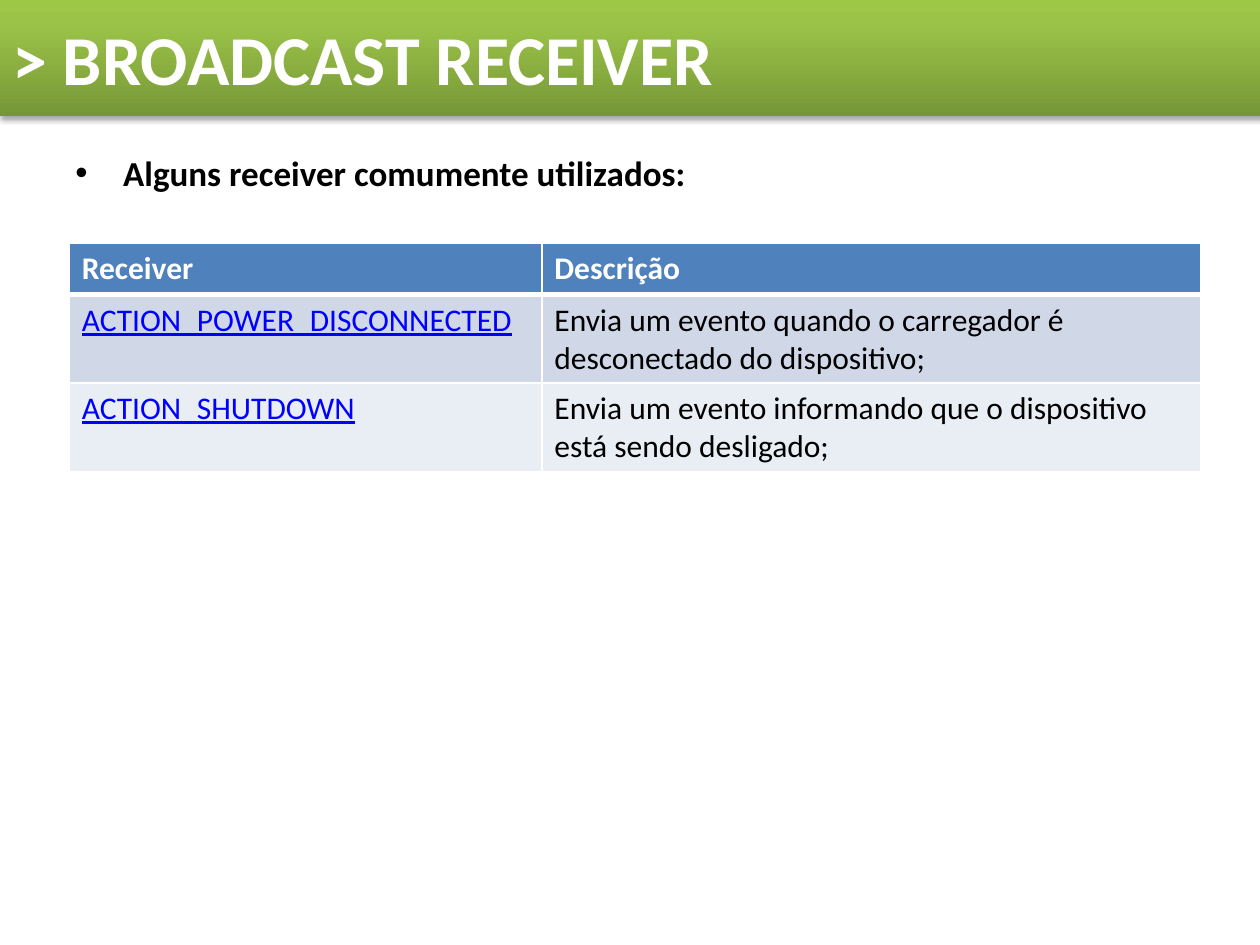
from lxml import etree
from pptx import Presentation
from pptx import util as u
from pptx.dml.color import RGBColor
from pptx.enum import shapes, text
from pptx.oxml import parse_xml
from pptx.oxml.ns import nsdecls, qn

# Content
TITLE = "> BROADCAST RECEIVER"
INTRO = "Alguns receiver comumente utilizados:"
RECEIVERS = [
    ("Receiver", "Descrição"),
    ("ACTION_POWER_DISCONNECTED",
     "Envia um evento quando o carregador é desconectado do dispositivo;"),
    ("ACTION_SHUTDOWN",
     "Envia um evento informando que o dispositivo está sendo desligado;"),
]
COLUMNS = (3.75, 5.23)
ROWS = (0.41, 0.7, 0.7)

# Look
FONT = "Calibri"
WHITE = RGBColor(0xFF, 0xFF, 0xFF)
BLACK = RGBColor(0, 0, 0)
LINK_BLUE = RGBColor(0, 0, 0xFF)
HEADER_BLUE = RGBColor(0x4F, 0x81, 0xBD)
BANDS = (RGBColor(0xE9, 0xED, 0xF4), RGBColor(0xD0, 0xD8, 0xE8))
GREENS = ((0, "779737"), (80, "9BC348"), (100, "9DC746"))


def write(frame, words, size, color, bold=False, underline=None):
    paragraph = frame.paragraphs[0]
    paragraph.text = words
    font = paragraph.font
    font.name, font.size, font.bold = FONT, u.Pt(size), bold
    font.color.rgb = color
    font.underline = underline
    return paragraph


def set_borders(cell, bottom):
    props = cell._tc.get_or_add_tcPr()
    widths = {"lnL": 1, "lnR": 1, "lnT": 1, "lnB": bottom}
    for place, (side, points) in enumerate(widths.items()):
        props.insert(place, parse_xml(
            f'<a:{side} {nsdecls("a")} w="{u.Pt(points)}"><a:solidFill>'
            f'<a:srgbClr val="{WHITE}"/></a:solidFill></a:{side}>'))


deck = Presentation()
deck.slide_width, deck.slide_height = u.Inches(10), u.Inches(7.5)
slide = deck.slides.add_slide(deck.slide_layouts[6])

# Introductory bullet
intro = slide.shapes.add_textbox(u.Inches(0.5), u.Inches(1.15), u.Inches(9), u.Inches(6.25))
intro.text_frame.word_wrap = True
bullet = write(intro.text_frame, INTRO, 20, BLACK, bold=True)
bullet.alignment = text.PP_ALIGN.JUSTIFY
bullet.space_before = u.Pt(4)
bullet_props = bullet._p.get_or_add_pPr()
bullet_props.set("marL", str(u.Inches(0.38)))
bullet_props.set("indent", str(-u.Inches(0.38)))
mark_font = parse_xml(f'<a:buFont {nsdecls("a")} typeface="Arial"/>')
mark = parse_xml(f'<a:buChar {nsdecls("a")} char="•"/>')
bullet_props.find(qn("a:spcBef")).addnext(mark_font)
mark_font.addnext(mark)

# Title band with gradient and shadow
band = slide.shapes.add_shape(shapes.MSO_SHAPE.RECTANGLE, 0, 0, u.Inches(10.04), u.Inches(0.92))
band.shadow.inherit = False
band.line.fill.background()
stops = "".join(f'<a:gs pos="{pos * 1000}"><a:srgbClr val="{green}"/></a:gs>'
                for pos, green in GREENS)
band_props = band._element.spPr
band_props.find(qn("a:prstGeom")).addnext(parse_xml(
    f'<a:gradFill {nsdecls("a")} rotWithShape="1"><a:gsLst>{stops}</a:gsLst>'
    '<a:lin ang="16200000" scaled="0"/></a:gradFill>'))
band_props.find(qn("a:effectLst")).append(parse_xml(
    f'<a:outerShdw {nsdecls("a")} blurRad="40000" dist="23000" dir="5400000" '
    'rotWithShape="0"><a:srgbClr val="000000"><a:alpha val="35000"/>'
    '</a:srgbClr></a:outerShdw>'))
band.text_frame.word_wrap = True
band.text_frame.vertical_anchor = text.MSO_ANCHOR.MIDDLE
write(band.text_frame, TITLE, 40, WHITE, bold=True).alignment = text.PP_ALIGN.LEFT

# Table of receivers
table = slide.shapes.add_table(
    len(ROWS), len(COLUMNS), u.Inches(0.55), u.Inches(1.93),
    u.Inches(sum(COLUMNS)), u.Inches(sum(ROWS))).table
for column, width in zip(table.columns, COLUMNS):
    column.width = u.Inches(width)
for row, height in zip(table.rows, ROWS):
    row.height = u.Inches(height)
for r, entries in enumerate(RECEIVERS):
    header = r == 0
    for c, words in enumerate(entries):
        cell = table.cell(r, c)
        is_link = not header and c == 0
        color = WHITE if header else LINK_BLUE if is_link else BLACK
        write(cell.text_frame, words, 18, color, bold=header, underline=is_link)
        cell.fill.solid()
        cell.fill.fore_color.rgb = HEADER_BLUE if header else BANDS[r % 2]
        set_borders(cell, bottom=3 if header else 1)
        if r == 1:
            cell._tc.tcPr.find(qn("a:lnT")).set("w", str(u.Pt(3)))

deck.save("out.pptx")
